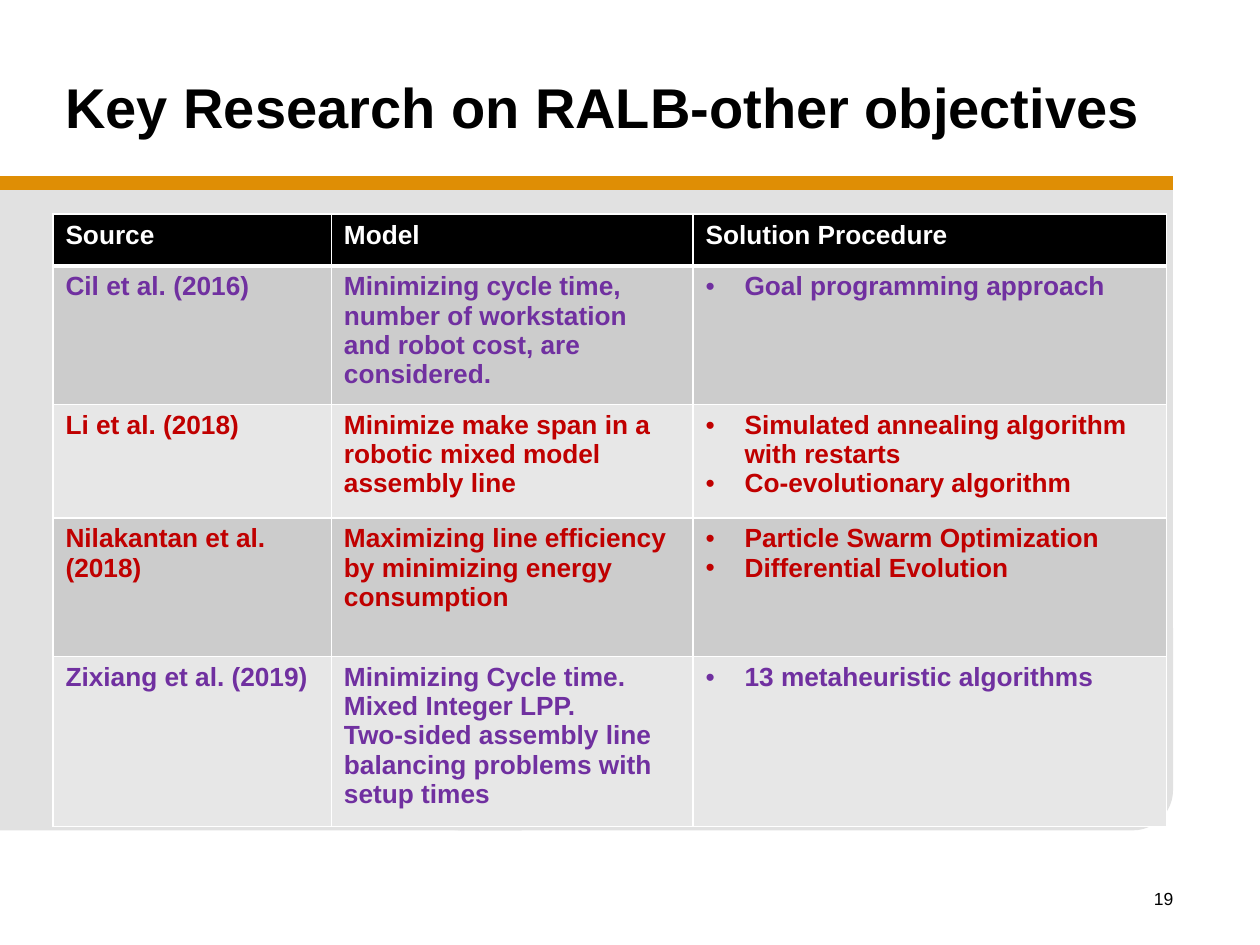
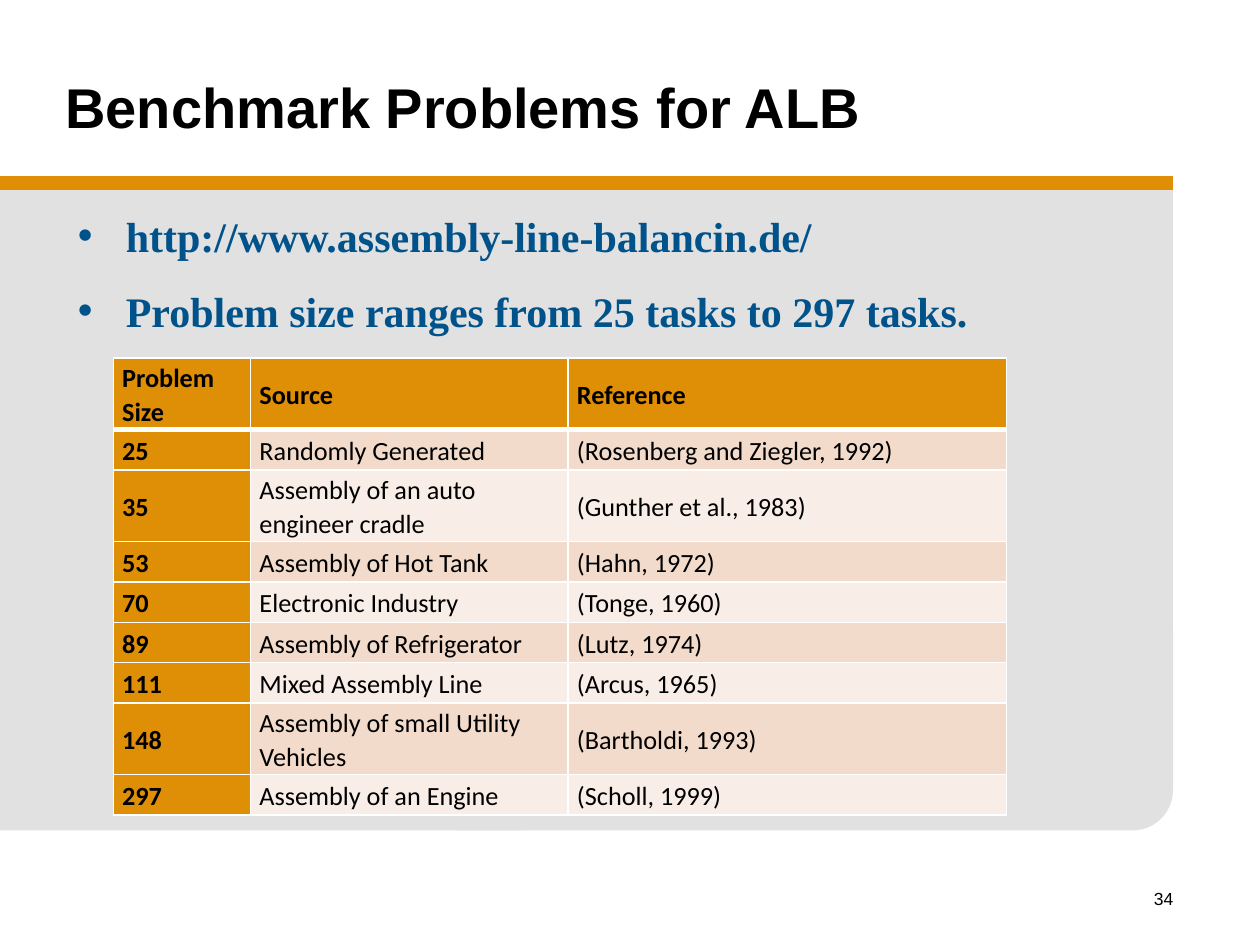
from dataclasses import dataclass
from typing import NamedTuple

from lxml import etree
from pptx import Presentation
from pptx.dml.color import RGBColor
from pptx.enum.shapes import MSO_CONNECTOR, MSO_SHAPE
from pptx.enum.text import MSO_ANCHOR, PP_ALIGN
from pptx.oxml.ns import qn
from pptx.util import Inches, Length, Pt

RECTANGLE = MSO_SHAPE.RECTANGLE
ROUNDED = MSO_SHAPE.ROUNDED_RECTANGLE
STRAIGHT = MSO_CONNECTOR.STRAIGHT
TOP, MIDDLE = MSO_ANCHOR.TOP, MSO_ANCHOR.MIDDLE
LEFT, RIGHT = PP_ALIGN.LEFT, PP_ALIGN.RIGHT

SLIDE_WIDTH, SLIDE_HEIGHT = Inches(10), Inches(7.5)
GRID_COLUMNS, GRID_ROWS = 100, 75

BLACK, WHITE = "000000", "FFFFFF"
PANEL_GREY, ORANGE, HEADER_ORANGE = "E1E1E1", "DF8E05", "DF8F05"
PURPLE, RED, BLUE = "7030A0", "C00000", "00528B"


class Area(NamedTuple):
    left: float
    top: float
    width: float
    height: float


class PanelPart(NamedTuple):
    kind: MSO_SHAPE
    area: Area


class TextStyle(NamedTuple):
    font: str
    size: float
    color: str = BLACK
    bold: bool = False
    align: PP_ALIGN = LEFT


class Bullet(NamedTuple):
    margin: float
    hang: float


class TableRow(NamedTuple):
    height: float
    cells: tuple[str, ...]
    ink: str = BLACK


@dataclass(frozen=True)
class TableDesign:
    font: str
    header_fill: str
    bands: tuple[str, str]
    bold_columns: tuple[int, ...]
    key_fill: str | None = None
    bullet_column: int | None = None
    anchor: MSO_ANCHOR = TOP
    side_margin: float = 1
    top_margin: float = 0.5
    bottom_margin: float = 0.5
    line_spacing: float | None = None
    space_after: float | None = None


TITLE_STYLE = TextStyle("Arial", 32, bold=True)
NUMBER_STYLE = TextStyle("Arial", 10, align=RIGHT)
POINT_STYLE = TextStyle("Times New Roman", 24, BLUE, True)
TABLE_TEXT_SIZE = 15
THIN, THICK = 1, 3

PANEL = (
    PanelPart(RECTANGLE, Area(0, 14.9, 93.1, 43.6)),
    PanelPart(ROUNDED, Area(33.3, 46.7, 59.8, 19.2)),
    PanelPart(RECTANGLE, Area(0, 27.5, 41.4, 38.4)),
)
BAND_RIGHT, BAND_TOP = 93.1, 14.5
TITLE_AREA = Area(4.2, 1.7, 90, 13.5)
NUMBER_AREA = Area(73.3, 70, 20.8, 5)
POINTS_AREA = Area(4.2, 16.2, 83.2, 42.3)
POINT_BULLET = Bullet(4.8, 3.8)
CELL_BULLET = Bullet(3.1, 3.1)
POINT_GAP = 14

RESEARCH_DESIGN = TableDesign("Arial", BLACK, ("CCCCCC", "E7E7E7"), (0, 1, 2), bullet_column=2)
BENCHMARK_DESIGN = TableDesign(
    "Calibri", HEADER_ORANGE, ("F3DBCC", "F9EEE7"), (0,), key_fill=HEADER_ORANGE,
    anchor=MIDDLE, side_margin=0.7, top_margin=0.1, bottom_margin=0,
    line_spacing=1.07, space_after=8,
)

RESEARCH_COLUMNS = (22.1, 28.7, 37.6)
RESEARCH_ROWS = (
    TableRow(4.1, ("Source", "Model", "Solution Procedure"), WHITE),
    TableRow(11, (
        "Cil et al. (2016)",
        "Minimizing cycle time, number of workstation and robot cost, are considered.",
        "Goal programming approach",
    ), PURPLE),
    TableRow(9, (
        "Li et al. (2018)",
        "Minimize make span in a robotic mixed model assembly line",
        "Simulated annealing algorithm with restarts\nCo-evolutionary algorithm",
    ), RED),
    TableRow(11, (
        "Nilakantan et al. (2018)",
        "Maximizing line efficiency by minimizing energy consumption",
        "Particle Swarm Optimization\nDifferential Evolution",
    ), RED),
    TableRow(13.5, (
        "Zixiang et al. (2019)",
        "Minimizing Cycle time. Mixed Integer LPP.\n"
        "Two-sided assembly line balancing problems with setup times",
        "13 metaheuristic algorithms",
    ), PURPLE),
)

BENCHMARK_COLUMNS = (10.9, 25.2, 34.8)
ONE_LINE, TWO_LINES = 3.2, 5.7
BENCHMARK_ROWS = (
    TableRow(TWO_LINES, ("Problem Size", "Source", "Reference")),
    TableRow(ONE_LINE, ("25", "Randomly Generated", "(Rosenberg and Ziegler, 1992)")),
    TableRow(TWO_LINES, ("35", "Assembly of an auto engineer cradle", "(Gunther et al., 1983)")),
    TableRow(ONE_LINE, ("53", "Assembly of Hot Tank", "(Hahn, 1972)")),
    TableRow(ONE_LINE, ("70", "Electronic Industry", "(Tonge, 1960)")),
    TableRow(ONE_LINE, ("89", "Assembly of Refrigerator", "(Lutz, 1974)")),
    TableRow(ONE_LINE, ("111", "Mixed Assembly Line", "(Arcus, 1965)")),
    TableRow(TWO_LINES, ("148", "Assembly of small Utility Vehicles", "(Bartholdi, 1993)")),
    TableRow(ONE_LINE, ("297", "Assembly of an Engine", "(Scholl, 1999)")),
)
BENCHMARK_POINTS = (
    "http://www.assembly-line-balancin.de/",
    "Problem size ranges from 25 tasks to 297 tasks.",
)


def across(columns: float) -> Length:
    return Length(round(SLIDE_WIDTH * columns / GRID_COLUMNS))


def down(rows: float) -> Length:
    return Length(round(SLIDE_HEIGHT * rows / GRID_ROWS))


def place(area: Area) -> tuple[Length, Length, Length, Length]:
    return across(area.left), down(area.top), across(area.width), down(area.height)


def rgb(color: str) -> RGBColor:
    return RGBColor.from_string(color)


def style_paragraph(para, style: TextStyle, bullet: Bullet | None = None) -> None:
    if bullet:
        properties = para._p.get_or_add_pPr()
        properties.set("marL", str(across(bullet.margin)))
        properties.set("indent", str(-across(bullet.hang)))
        etree.SubElement(properties, qn("a:buFont"), typeface="Arial")
        etree.SubElement(properties, qn("a:buChar"), char="•")
    para.alignment = style.align
    font = para.font
    font.name, font.size, font.bold = style.font, Pt(style.size), style.bold
    font.color.rgb = rgb(style.color)


def add_text(page, area: Area, lines: tuple[str, ...], style: TextStyle,
             anchor: MSO_ANCHOR = TOP, bullet: Bullet | None = None, gap: float = 0) -> None:
    frame = page.shapes.add_textbox(*place(area)).text_frame
    frame.word_wrap = True
    frame.vertical_anchor = anchor
    frame.text = "\n".join(lines)
    for index, para in enumerate(frame.paragraphs):
        style_paragraph(para, style, bullet)
        if index:
            para.space_before = Pt(gap)


def set_borders(cell, top: float, bottom: float) -> None:
    properties = cell._tc.get_or_add_tcPr()
    widths = {"lnL": THIN, "lnR": THIN, "lnT": top, "lnB": bottom}
    for side, width in widths.items():
        line = etree.SubElement(properties, qn(f"a:{side}"), w=str(Pt(width)))
        fill = etree.SubElement(line, qn("a:solidFill"))
        etree.SubElement(fill, qn("a:srgbClr"), val=WHITE)


def fill_cell(cell, row: TableRow, row_index: int, column: int, design: TableDesign) -> None:
    header = row_index == 0
    set_borders(cell, THICK if row_index == 1 else THIN, THICK if header else THIN)
    if header:
        color = design.header_fill
    elif column == 0 and design.key_fill:
        color = design.key_fill
    else:
        color = design.bands[(row_index - 1) % 2]
    cell.fill.solid()
    cell.fill.fore_color.rgb = rgb(color)
    cell.vertical_anchor = design.anchor
    cell.margin_left = cell.margin_right = across(design.side_margin)
    cell.margin_top, cell.margin_bottom = down(design.top_margin), down(design.bottom_margin)
    cell.text_frame.text = row.cells[column]
    style = TextStyle(design.font, TABLE_TEXT_SIZE, row.ink, header or column in design.bold_columns)
    bullet = CELL_BULLET if column == design.bullet_column and not header else None
    for para in cell.text_frame.paragraphs:
        style_paragraph(para, style, bullet)
        if design.line_spacing:
            para.line_spacing = design.line_spacing
        if design.space_after:
            para.space_after = Pt(design.space_after)


def add_grid_table(page, left: float, top: float, columns: tuple[float, ...],
                   rows: tuple[TableRow, ...], design: TableDesign) -> None:
    area = Area(left, top, sum(columns), sum(row.height for row in rows))
    table = page.shapes.add_table(len(rows), len(columns), *place(area)).table
    table.horz_banding = False
    for column, width in enumerate(columns):
        table.columns[column].width = across(width)
    for row_index, row in enumerate(rows):
        table.rows[row_index].height = down(row.height)
        for column in range(len(columns)):
            fill_cell(table.cell(row_index, column), row, row_index, column, design)


def add_page(deck, title: str, number: int):
    page = deck.slides.add_slide(deck.slide_layouts[6])
    for part in PANEL:
        shape = page.shapes.add_shape(part.kind, *place(part.area))
        shape.shadow.inherit = False
        shape.fill.solid()
        shape.fill.fore_color.rgb = rgb(PANEL_GREY)
        shape.line.fill.background()
    band = page.shapes.add_connector(
        STRAIGHT, across(0), down(BAND_TOP), across(BAND_RIGHT), down(BAND_TOP))
    band.line.color.rgb = rgb(ORANGE)
    band.line.width = Pt(8)
    etree.SubElement(band._element.spPr, qn("a:effectLst"))
    add_text(page, NUMBER_AREA, (str(number),), NUMBER_STYLE)
    add_text(page, TITLE_AREA, (title,), TITLE_STYLE, MIDDLE)
    return page


def main() -> None:
    deck = Presentation()
    deck.slide_width, deck.slide_height = SLIDE_WIDTH, SLIDE_HEIGHT

    research = add_page(deck, "Key Research on RALB-other objectives", 19)
    add_grid_table(research, 4.2, 17, RESEARCH_COLUMNS, RESEARCH_ROWS, RESEARCH_DESIGN)

    benchmarks = add_page(deck, "Benchmark Problems for ALB", 34)
    add_text(benchmarks, POINTS_AREA, BENCHMARK_POINTS, POINT_STYLE,
             bullet=POINT_BULLET, gap=POINT_GAP)
    add_grid_table(benchmarks, 9, 28.4, BENCHMARK_COLUMNS, BENCHMARK_ROWS, BENCHMARK_DESIGN)

    deck.save("out.pptx")


if __name__ == "__main__":
    main()
